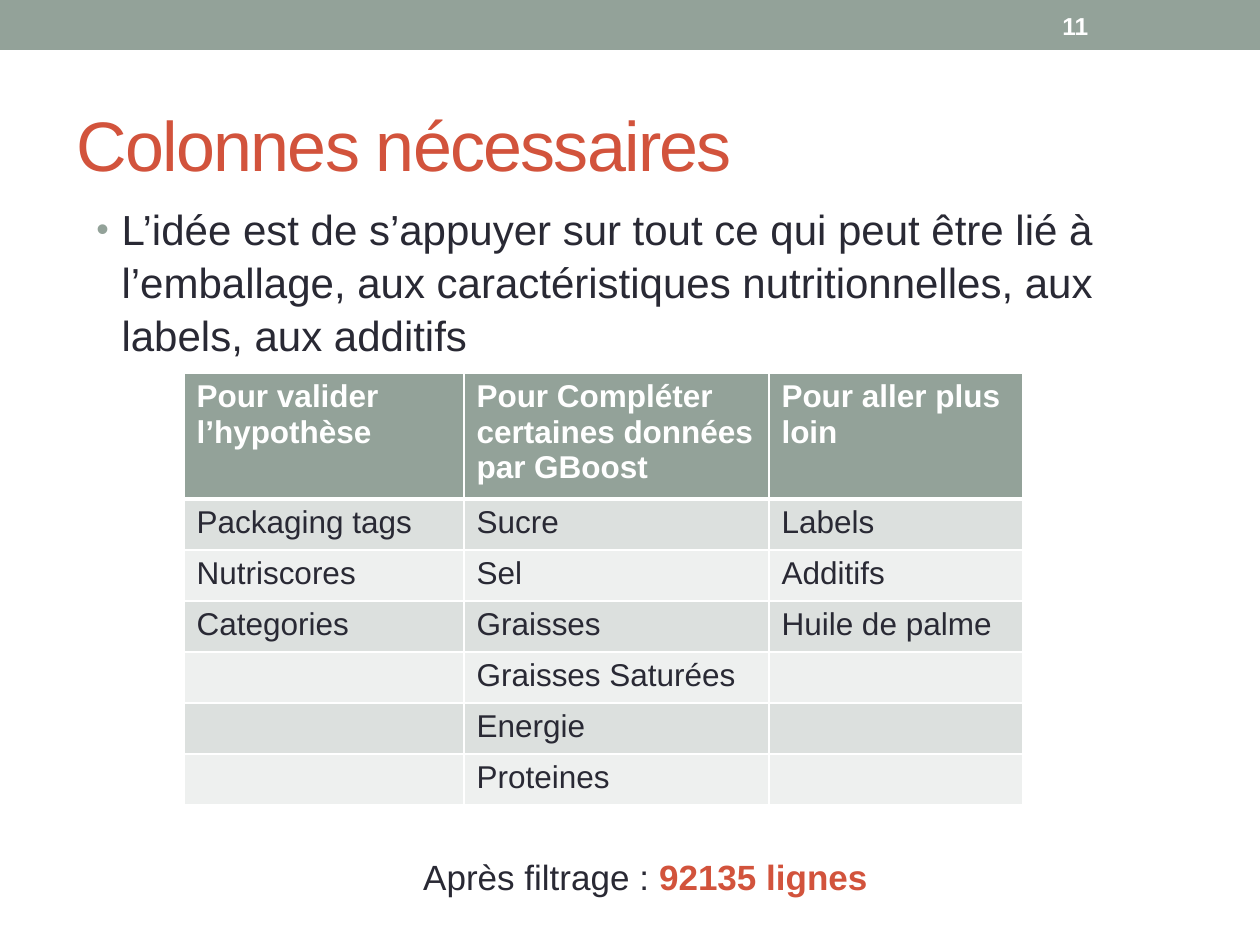
import pptx
import pptx.util
import pptx.dml.color
import pptx.enum.shapes
import pptx.enum.text
import pptx.oxml
import pptx.oxml.ns

PX = 914400 // 126
SAGE, RUST, INK, WHITE = "93A299", "D2533C", "292934", "FFFFFF"
BANDS = ("DCE0DE", "EEF0EF")
ALIGN = pptx.enum.text.PP_ALIGN
ANCHOR = pptx.enum.text.MSO_ANCHOR


def px(*vals):
    return [pptx.util.Emu(val * PX) for val in vals]


def color(hue):
    return pptx.dml.color.RGBColor.from_string(hue)


def node(xml):
    """Parse one element written with the a: prefix."""
    head, tail = xml.split(" ", 1)
    return pptx.oxml.parse_xml(f"{head} {pptx.oxml.ns.nsdecls('a')} {tail}")


class Deck:
    def __init__(self):
        self.font = "Arial"
        self.file = pptx.Presentation()
        self.file.slide_width, self.file.slide_height = px(1260, 945)
        self.slide = self.file.slides.add_slide(self.file.slide_layouts[5])

    def run(self, para, text, size, hue=INK, bold=False):
        run = para.add_run()
        run.text = text
        run.font.name = self.font
        run.font.size = pptx.util.Pt(size)
        run.font.bold = bold
        run.font.color.rgb = color(hue)
        return run

    def bar(self, *box):
        kind = pptx.enum.shapes.MSO_SHAPE.RECTANGLE
        shape = self.slide.shapes.add_shape(kind, *px(*box))
        shape.shadow.inherit = False
        shape.fill.solid()
        shape.fill.fore_color.rgb = color(SAGE)
        shape.line.fill.background()

    def title(self, text, *box):
        shape = self.slide.shapes.title
        shape.left, shape.top, shape.width, shape.height = px(*box)
        frame = shape.text_frame
        frame.vertical_anchor = ANCHOR.MIDDLE
        para = frame.paragraphs[0]
        para.alignment = ALIGN.LEFT
        run = self.run(para, text, 40, RUST)
        run.font._element.set("spc", "-100")

    def text(self, box, runs, align=ALIGN.LEFT, anchor=ANCHOR.TOP):
        """Add a text box; each run is (text, size, hue, bold)."""
        frame = self.slide.shapes.add_textbox(*px(*box)).text_frame
        frame.word_wrap = True
        frame.vertical_anchor = anchor
        para = frame.paragraphs[0]
        para.alignment = align
        for run in runs:
            self.run(para, *run)
        return para

    def bullet(self, box, text):
        para = self.text(box, [(text, 24)])
        para.line_spacing = 1.05
        props = para._p.get_or_add_pPr()
        props.set("marL", "182880")
        props.set("indent", "-182880")
        for xml in (
            f'<a:buClr ><a:srgbClr val="{SAGE}"/></a:buClr>',
            '<a:buSzPct val="85000"/>',
            '<a:buFont typeface="Arial"/>',
            '<a:buChar char="•"/>',
        ):
            props.append(node(xml))

    def cell(self, cell, text, fill, hue, bold, base):
        """Fill one cell; base is the width of its bottom border."""
        cell.fill.solid()
        cell.fill.fore_color.rgb = color(fill)
        if text:
            self.run(cell.text_frame.paragraphs[0], text, 18, hue, bold)
        props = cell._tc.get_or_add_tcPr()
        for spot, (side, width) in enumerate(zip("LRTB", (1, 1, 1, base))):
            line = node(
                f'<a:ln{side} w="{width * 12700}"><a:solidFill>'
                f'<a:srgbClr val="{WHITE}"/></a:solidFill></a:ln{side}>'
            )
            props.insert(spot, line)

    def table(self, left, top, wides, highs, rows):
        box = px(left, top, sum(wides), sum(highs))
        grid = self.slide.shapes.add_table(len(rows), len(wides), *box).table
        for col, wide in zip(grid.columns, px(*wides)):
            col.width = wide
        for row, high in zip(grid.rows, px(*highs)):
            row.height = high
        for y, row in enumerate(rows):
            if y == 0:
                style = (SAGE, WHITE, True, 3)
            else:
                style = (BANDS[(y - 1) % 2], INK, False, 1)
            for x, text in enumerate(row):
                self.cell(grid.cell(y, x), text, *style)


def main():
    deck = Deck()
    deck.bar(0, 0, 1260, 50)
    deck.title("Colonnes nécessaires", 64, 76, 1134, 136)
    deck.bullet(
        (84, 195, 1121, 672),
        "L’idée est de s’appuyer sur tout ce qui peut être lié à l’emballage, "
        "aux caractéristiques nutritionnelles, aux labels, aux additifs",
    )
    deck.text((1050, 3, 147, 45), [("11", 14, WHITE, True)], anchor=ANCHOR.MIDDLE)
    rows = [
        ("Pour valider l’hypothèse", "Pour Compléter certaines données par GBoost",
         "Pour aller plus loin"),
        ("Packaging tags", "Sucre", "Labels"),
        ("Nutriscores", "Sel", "Additifs"),
        ("Categories", "Graisses", "Huile de palme"),
        ("", "Graisses Saturées", ""),
        ("", "Energie", ""),
        ("", "Proteines", ""),
    ]
    deck.table(184, 373, (280, 305, 254), [117] + [51] * 6, rows)
    deck.text(
        (392, 849, 507, 55),
        [("Après filtrage : ", 20), ("92135 lignes", 20, RUST, True)],
        align=ALIGN.CENTER,
    )
    deck.file.save("out.pptx")


if __name__ == "__main__":
    main()
